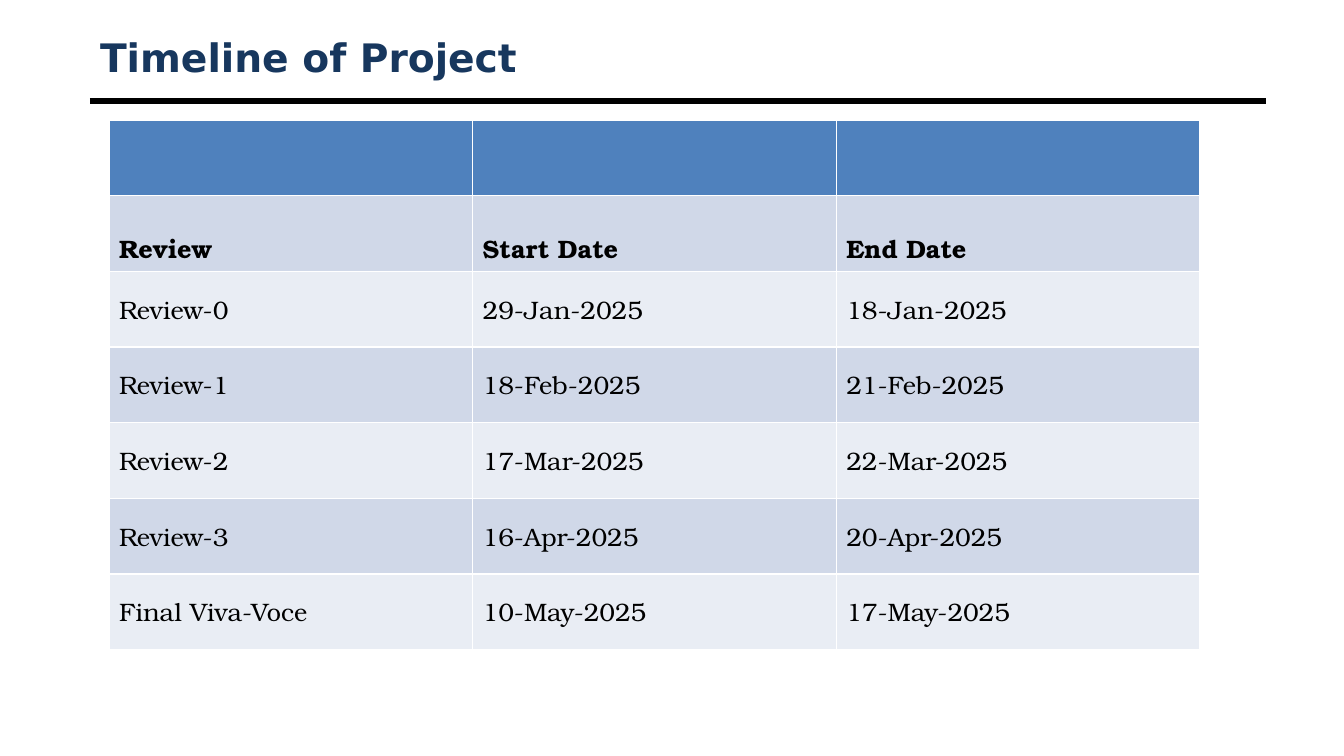
"""Build the project timeline slide with its table of review dates."""
from pptx import Presentation
from pptx.dml.color import RGBColor
from pptx.enum.shapes import MSO_CONNECTOR
from pptx.enum.text import MSO_ANCHOR, PP_ALIGN
from pptx.oxml.ns import qn
from pptx.util import Emu, Pt
from lxml import etree

STRAIGHT = MSO_CONNECTOR.STRAIGHT
MIDDLE, BOTTOM = MSO_ANCHOR.MIDDLE, MSO_ANCHOR.BOTTOM
LEFT = PP_ALIGN.LEFT

TITLE = "Timeline of Project"
ROWS = [
    ("", "", ""),
    ("Review", "Start Date", "End Date"),
    ("Review-0", "29-Jan-2025", "18-Jan-2025"),
    ("Review-1", "18-Feb-2025", "21-Feb-2025"),
    ("Review-2", "17-Mar-2025", "22-Mar-2025"),
    ("Review-3", "16-Apr-2025", "20-Apr-2025"),
    ("Final Viva-Voce", "10-May-2025", "17-May-2025"),
]
HEADING_ROW = 1

SLIDE_SIZE = (1344, 756)
TITLE_BOX = (90, 30, 1176, 54)
RULE = (90, 101, 1266, 101)
TABLE_BOX = (109, 120, 1091, 530)

THEME = {
    "title": {"name": "DejaVu Sans", "size": Pt(28), "bold": True},
    "heading": {"name": "TeX Gyre Bonum", "size": Pt(18), "bold": True},
    "body": {"name": "TeX Gyre Bonum", "size": Pt(18), "bold": False},
    "title_color": "17375E",
    "text_color": "000000",
    "rule_color": "000000",
    "rule_width": Pt(4.5),
    "header_fill": "4F81BD",
    "band_fills": ("E9EDF4", "D0D8E8"),
}


def px(length):
    """Turn pixels into EMU."""
    return Emu(round(length * 914400 / 100.8))


def set_format(target, values):
    """Set each named attribute on the target."""
    for name, value in values.items():
        setattr(target, name, value)


def write(frame, text, style, color):
    """Put one left-aligned, styled line into a text frame."""
    para = frame.paragraphs[0]
    para.alignment = LEFT
    span = para.add_run()
    span.text = text
    set_format(span.font, THEME[style])
    span.font.color.rgb = RGBColor.from_string(THEME[color])


def add_title(page):
    """Place and format the slide title."""
    title = page.shapes.title
    set_format(title, dict(zip(("left", "top", "width", "height"), map(px, TITLE_BOX))))
    set_format(title.text_frame, {"vertical_anchor": MIDDLE, "word_wrap": True})
    write(title.text_frame, TITLE, "title", "title_color")


def add_rule(page):
    """Draw the thick line under the title."""
    rule = page.shapes.add_connector(STRAIGHT, *map(px, RULE))
    rule.line.color.rgb = RGBColor.from_string(THEME["rule_color"])
    rule.line.width = THEME["rule_width"]
    etree.SubElement(rule.element.spPr, qn("a:effectLst"))


def add_timeline(page):
    """Add the table with evenly sized rows and columns."""
    column_count = len(ROWS[0])
    frame = page.shapes.add_table(len(ROWS), column_count, *map(px, TABLE_BOX))
    table = frame.table
    for column in table.columns:
        column.width = px(TABLE_BOX[2] / column_count)
    for row_index, texts in enumerate(ROWS):
        table.rows[row_index].height = px(TABLE_BOX[3] / len(ROWS))
        is_heading = row_index == HEADING_ROW
        fill = THEME["band_fills"][row_index % 2] if row_index else THEME["header_fill"]
        for column_index, text in enumerate(texts):
            cell = table.cell(row_index, column_index)
            cell.fill.solid()
            cell.fill.fore_color.rgb = RGBColor.from_string(fill)
            cell.vertical_anchor = BOTTOM if is_heading else MIDDLE
            if text:
                style = "heading" if is_heading else "body"
                write(cell.text_frame, text, style, "text_color")


def main():
    """Build and save the deck."""
    deck = Presentation()
    deck.slide_width, deck.slide_height = map(px, SLIDE_SIZE)
    page = deck.slides.add_slide(deck.slide_layouts[5])
    add_rule(page)
    add_title(page)
    add_timeline(page)
    deck.save("out.pptx")


if __name__ == "__main__":
    main()
